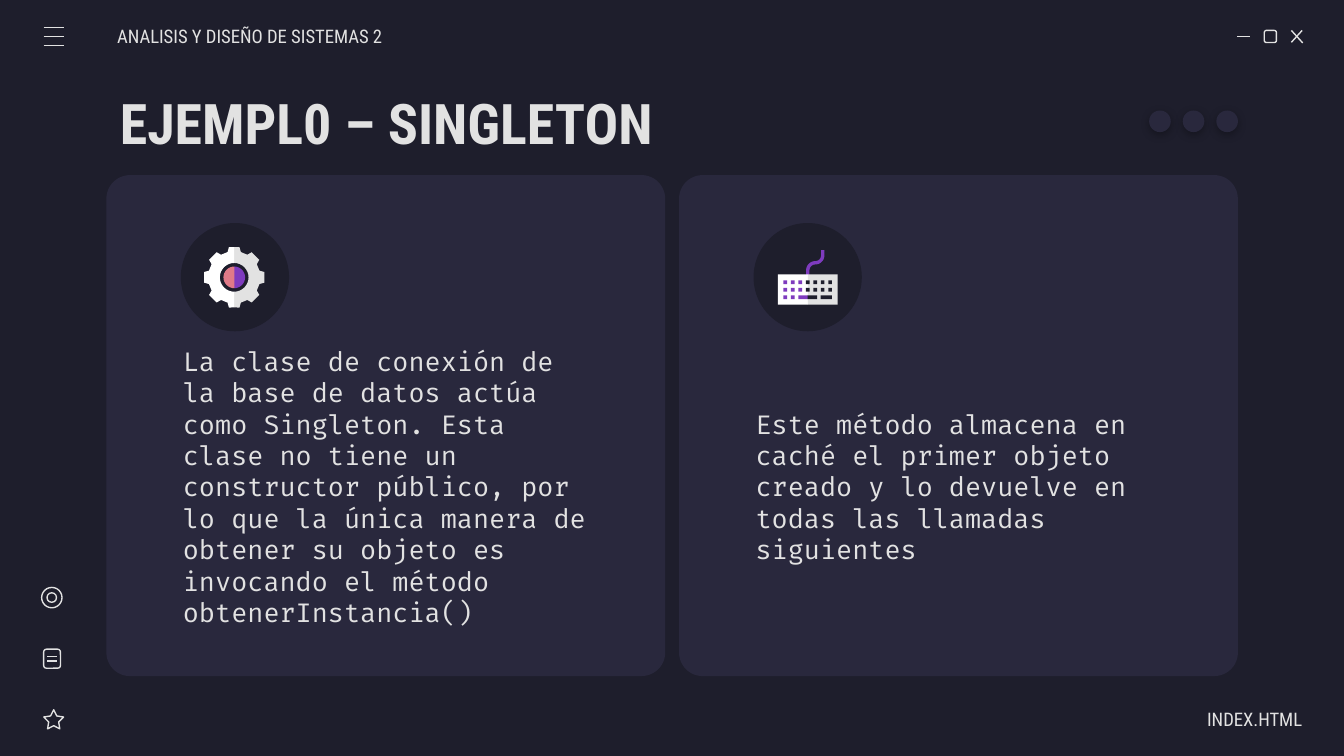
from dataclasses import dataclass
from math import cos, radians, sin
from typing import NamedTuple

from lxml.etree import SubElement
from pptx import Presentation
from pptx.dml.color import RGBColor
from pptx.enum.shapes import MSO_CONNECTOR, MSO_SHAPE as Preset
from pptx.enum.text import MSO_ANCHOR, MSO_AUTO_SIZE, PP_ALIGN as Align
from pptx.oxml.ns import qn
from pptx.util import Pt


@dataclass(frozen=True)
class Theme:
    night: str = "1E1E2C"
    panel: str = "29283D"
    light: str = "E2E2E2"
    white: str = "FFFFFF"
    violet: str = "7E3BBE"
    coral: str = "E07A88"
    display: str = "Roboto Condensed"
    mono: str = "Fira Code"
    title_size: float = 30
    body_size: float = 14
    label_size: float = 10
    stroke: float = 0.75
    inset: float = 7.2


class Point(NamedTuple):
    x: float
    y: float


class Box(NamedTuple):
    left: float
    top: float
    width: float
    height: float


class Outline(NamedTuple):
    preset: Preset
    box: Box
    adjustment: float | None = None


class Stroke(NamedTuple):
    start: Point
    end: Point


class Card(NamedTuple):
    left: float
    text: str


THEME = Theme()

CARDS = [
    Card(57, "La clase de conexión de la base de datos actúa como Singleton. "
             "Esta clase no tiene un constructor público, por lo que la única "
             "manera de obtener su objeto es invocando el método obtenerInstancia()"),
    Card(363.8, "Este método almacena en caché el primer objeto creado y lo "
                "devuelve en todas las llamadas siguientes"),
]

OUTLINES = [
    Outline(Preset.ROUNDED_RECTANGLE, Box(677.3, 16.3, 6.5, 6.5), 0.167),
    Outline(Preset.STAR_5_POINT, Box(23.5, 380.2, 10.6, 10.3), 0.254),
    Outline(Preset.ROUNDED_RECTANGLE, Box(23.4, 347.8, 9, 10.2), 0.167),
    Outline(Preset.OVAL, Box(22.3, 314.7, 10.9, 10.9)),
    Outline(Preset.OVAL, Box(25.2, 317.6, 5.1, 5.1)),
]

STROKES = [
    Stroke(Point(662.8, 19.5), Point(669.7, 19.5)),
    Stroke(Point(691.8, 16.3), Point(697.9, 23)),
    Stroke(Point(697.6, 16.3), Point(691.8, 22.7)),
    *(Stroke(Point(23.4, y), Point(34.2, y)) for y in (14.7, 19.5, 24.3)),
    *(Stroke(Point(25.3, y), Point(30.4, y)) for y in (351.7, 354.1)),
]


def add_filled(slide, preset: Preset, box: Box, color: str):
    shape = slide.shapes.add_shape(preset, *map(Pt, box))
    shape.shadow.inherit = False
    shape.fill.solid()
    shape.fill.fore_color.rgb = RGBColor.from_string(color)
    shape.line.fill.background()
    return shape


def add_outline(slide, outline: Outline) -> None:
    shape = slide.shapes.add_shape(outline.preset, *map(Pt, outline.box))
    shape.shadow.inherit = False
    shape.fill.background()
    shape.line.color.rgb = RGBColor.from_string(THEME.light)
    shape.line.width = Pt(THEME.stroke)
    if outline.adjustment is not None:
        shape.adjustments[0] = outline.adjustment


def add_stroke(slide, stroke: Stroke) -> None:
    connector = slide.shapes.add_connector(
        MSO_CONNECTOR.STRAIGHT, *map(Pt, (*stroke.start, *stroke.end)))
    connector.line.color.rgb = RGBColor.from_string(THEME.light)
    connector.line.width = Pt(THEME.stroke)
    SubElement(connector.element.spPr, qn("a:effectLst"))


def add_polygon(slide, points: list[Point], color: str) -> None:
    corners = [(Pt(p.x), Pt(p.y)) for p in points]
    builder = slide.shapes.build_freeform(*corners[0])
    builder.add_line_segments(corners[1:], close=True)
    polygon = builder.convert_to_shape()
    polygon.shadow.inherit = False
    polygon.fill.solid()
    polygon.fill.fore_color.rgb = RGBColor.from_string(color)
    polygon.line.fill.background()


def polar(center: Point, radius: float, angle: float) -> Point:
    turn = radians(angle)
    return Point(center.x + radius * sin(turn), center.y - radius * cos(turn))


def arc(center: Point, radius: float, start: float, end: float) -> list[Point]:
    steps = 16
    return [polar(center, radius, start + (end - start) * i / steps)
            for i in range(steps + 1)]


def write(holder, box: Box, text: str, size: float, font: str, bold: bool = False,
          align: Align = Align.LEFT, left: float = THEME.inset,
          right: float = THEME.inset) -> None:
    holder.left, holder.top, holder.width, holder.height = map(Pt, box)
    frame = holder.text_frame
    frame.word_wrap = True
    frame.auto_size = MSO_AUTO_SIZE.NONE
    frame.vertical_anchor = MSO_ANCHOR.MIDDLE
    frame.margin_left, frame.margin_right = Pt(left), Pt(right)
    frame.margin_top = frame.margin_bottom = Pt(THEME.inset)
    paragraph = frame.paragraphs[0]
    paragraph.alignment = align
    paragraph.space_before = Pt(0)
    properties = paragraph._p.get_or_add_pPr()
    properties.set("marL", "0")
    properties.set("indent", "0")
    SubElement(properties, qn("a:buNone"))
    run = paragraph.add_run()
    run.text = text
    run.font.size = Pt(size)
    run.font.name = font
    run.font.bold = bold
    run.font.color.rgb = RGBColor.from_string(THEME.light)


def add_label(slide, box: Box, text: str, **layout) -> None:
    label = slide.shapes.add_textbox(*map(Pt, box))
    write(label, box, text, THEME.label_size, THEME.display, **layout)


def draw_gear(slide, center: Point) -> None:
    teeth = [(45 * tooth + offset, radius) for tooth in range(5)
             for offset, radius in ((-14.8, 14), (-10, 16.4), (10, 16.4), (14.8, 14))]
    rim = [(0, 16.15), *(t for t in teeth if 0 < t[0] < 180), (180, 16.15)]
    for side, body, core in ((1, THEME.light, THEME.violet), (-1, THEME.white, THEME.coral)):
        edge = [polar(center, radius, side * angle) for angle, radius in rim]
        add_polygon(slide, edge + arc(center, 7.7, side * 180, 0), body)
        add_polygon(slide, arc(center, 5.8, 0, side * 180), core)


def draw_keyboard(slide, left: float, top: float) -> None:
    middle = left + 16
    upper, lower = Point(middle + 4, top - 10.2), Point(middle + 4, top - 2.2)
    cable = [Point(upper.x + 3.1, top - 13), *arc(upper, 3.1, 90, 180),
             *arc(lower, 4.9, 0, -90), Point(lower.x - 4.9, top + 2),
             Point(lower.x - 3.1, top + 2), *arc(lower, 3.1, -90, 0),
             *arc(upper, 4.9, 180, 90), Point(upper.x + 4.9, top - 13)]
    add_polygon(slide, cable, THEME.violet)
    for x, color in ((left, THEME.white), (middle, THEME.light)):
        add_filled(slide, Preset.RECTANGLE, Box(x, top, 16, 16.2), color)
    full_row = [(column, 2) for column in range(7)]
    space_row = [(0, 2), (1, 2), (2, 5.1), (3.25, 5.1), (5, 6)]
    for row, keys in enumerate((full_row, full_row, space_row)):
        for column, width in keys:
            color = THEME.violet if column < 3 else THEME.night
            key = Box(left + 2.9 + 4 * column, top + 3.2 + 4 * row, width, 2)
            add_filled(slide, Preset.RECTANGLE, key, color)


def add_dot(slide, left: float) -> None:
    dot = add_filled(slide, Preset.OVAL, Box(left, 59.2, 11.6, 11.6), THEME.panel)
    effects = dot.element.spPr.find(qn("a:effectLst"))
    shadow = SubElement(effects, qn("a:outerShdw"), blurRad=str(Pt(4.5)),
                        dist=str(Pt(1.5)), dir="5400000", algn="bl", rotWithShape="0")
    black = SubElement(shadow, qn("a:srgbClr"), val="000000")
    SubElement(black, qn("a:alpha"), val="30000")


def main() -> None:
    deck = Presentation()
    deck.slide_width, deck.slide_height = Pt(720), Pt(405)
    slide = deck.slides.add_slide(deck.slide_layouts[3])
    slide.background.fill.solid()
    slide.background.fill.fore_color.rgb = RGBColor.from_string(THEME.night)
    title, *bodies = slide.placeholders
    for card, body in zip(CARDS, bodies):
        panel = add_filled(slide, Preset.ROUNDED_RECTANGLE,
                           Box(card.left, 93.8, 299.4, 268.4), THEME.panel)
        panel.adjustments[0] = 0.047
        add_filled(slide, Preset.OVAL, Box(card.left + 39.9, 119.5, 58, 58), THEME.night)
        write(body, Box(card.left + 33.8, 190, 231.8, 141.2), card.text,
              THEME.body_size, THEME.mono)
    write(title, Box(57, 42.5, 607, 45.4), "EJEMPL0 – SINGLETON",
          THEME.title_size, THEME.display, bold=True)
    for holder in (title, *bodies):
        holder.element.getparent().append(holder.element)
    for outline in OUTLINES:
        add_outline(slide, outline)
    for stroke in STROKES:
        add_stroke(slide, stroke)
    draw_gear(slide, Point(125.5, 148.6))
    draw_keyboard(slide, 416.8, 147)
    for index in range(3):
        add_dot(slide, 615.6 + 18 * index)
    add_label(slide, Box(62.8, 8.7, 194.4, 21.6), "ANALISIS Y DISEÑO DE SISTEMAS 2", left=0)
    add_label(slide, Box(613.4, 374.5, 84.2, 21.6), "INDEX.HTML",
              align=Align.RIGHT, right=0)
    deck.save("out.pptx")


if __name__ == "__main__":
    main()
